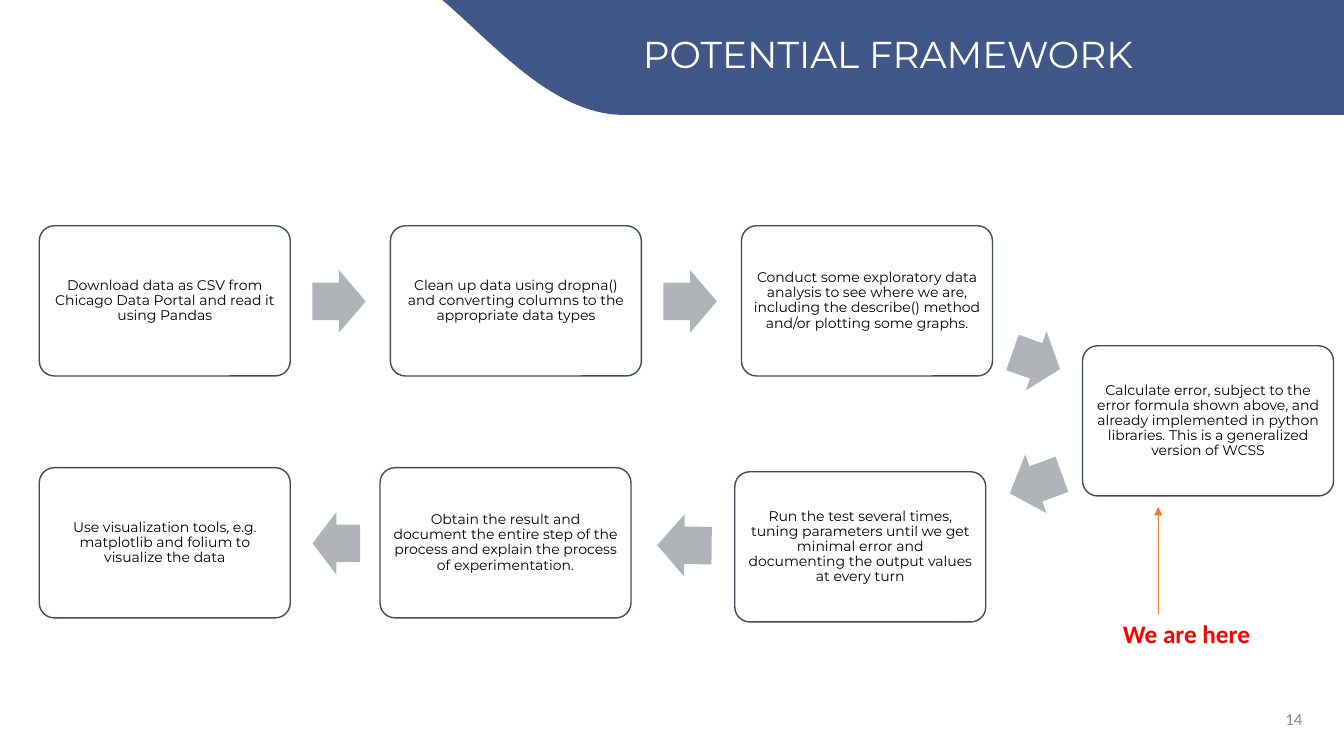
import collections

import lxml.etree
import pptx
import pptx.dml.color
import pptx.enum.shapes
import pptx.enum.text
import pptx.oxml.ns
import pptx.util

Box = collections.namedtuple("Box", "left top width height")

SLIDE_WIDTH, SLIDE_HEIGHT = pptx.util.Inches(13.333), pptx.util.Inches(7.5)
CELL = SLIDE_WIDTH / 40  # square grid: 40 columns by 22.5 rows
COLORS = {
    "banner": "002060", "title": "FFFFFF", "step": "FFFFFF", "outline": "3E4C60",
    "text": "000000", "arrow": "B0B4B9", "marker": "FF0000", "pointer": "ED7D31",
    "number": "8C8C8C",
}
ALIGN = pptx.enum.text.PP_ALIGN
ANCHOR = pptx.enum.text.MSO_ANCHOR
SHAPE = pptx.enum.shapes.MSO_SHAPE

# Regions, in grid cells
BANNER = Box(12.87, -0.24, 27.13, 3.66)
FLOW = Box(1.17, 6.72, 38.52, 11.79)
MARKER = Box(33.12, 15.09, 4.44, 4.38)
NUMBER = Box(36.75, 20.79, 2.4, 1.71)

STEP_WIDTH, STEP_HEIGHT, ARROW_HEIGHT = 7.47, 4.47, 1.86
# Column and row inside the flow region, then wording
STEPS = [
    (0, 0, "Download data as CSV from Chicago Data Portal and read it using Pandas"),
    (10.45, 0, "Clean up data using dropna() and converting columns to the "
               "appropriate data types"),
    (20.9, 0, "Conduct some exploratory data analysis to see where we are, including "
              "the describe() method and/or plotting some graphs."),
    (31.05, 3.57, "Calculate error, subject to the error formula shown above, and already "
                  "implemented in python libraries. This is a generalized version of WCSS"),
    (20.7, 7.32, "Run the test several times, tuning parameters until we get minimal "
                 "error and documenting the output values at every turn"),
    (10.14, 7.2, "Obtain the result and document the entire step of the process and "
                 "explain the process of experimentation."),
    (0, 7.2, "Use visualization tools, e.g. matplotlib and folium to visualize the data"),
]
# Centre column, centre row, length, rotation
ARROWS = [
    (8.92, 2.25, 1.59, 0), (19.37, 2.25, 1.59, 0), (29.67, 4.02, 1.5, 19.3),
    (29.66, 7.68, 1.65, 160), (19.2, 9.51, 1.62, 180.6), (8.84, 9.45, 1.41, 180),
]


def color(key):
    return pptx.dml.color.RGBColor.from_string(COLORS[key])


def cells(*lengths):
    return [round(length * CELL) for length in lengths]


def set_all(target, values):
    for name, value in values.items():
        setattr(target, name, value)


def write(holder, text, size, key, font="Montserrat", bold=False, inset=0.1,
          paragraph_format=None, **frame_format):
    frame = holder.text_frame
    margin = pptx.util.Inches(inset)
    set_all(frame, {"margin_left": margin, "margin_right": margin,
                    "margin_top": margin / 2 if inset == 0.1 else margin,
                    "margin_bottom": margin / 2 if inset == 0.1 else margin,
                    "word_wrap": True, **frame_format} if inset != 0.1 else
            {"word_wrap": True, **frame_format})
    frame.text = text
    paragraph = frame.paragraphs[0]
    set_all(paragraph, paragraph_format or {})
    run_font = paragraph.runs[0].font
    set_all(run_font, {"name": font, "size": pptx.util.Pt(size), "bold": bold})
    run_font.color.rgb = color(key)


def paint(shape, fill, outline=None):
    shape.shadow.inherit = False
    shape.fill.solid()
    shape.fill.fore_color.rgb = color(fill)
    if outline:
        shape.line.color.rgb = color(outline)
        shape.line.width = pptx.util.Pt(1)
    else:
        shape.line.fill.background()


def add_banner(slide, box):
    # Curved left edge, sampled from a cubic curve in shares of the box
    controls = [(0.21, 1), (0.127, 1), (0.058, 0.336), (0, 0)]
    samples = 32
    edge = []
    for i in range(samples + 1):
        t = i / samples
        weights = ((1 - t) ** 3, 3 * t * (1 - t) ** 2, 3 * t * t * (1 - t), t ** 3)
        edge.append([sum(w * c[axis] for w, c in zip(weights, controls))
                     for axis in (0, 1)])
    outline = [cells(box.left + x * box.width, box.top + y * box.height)
               for x, y in [(0, 0), (1, 0), (1, 1)] + edge[:-1]]
    builder = slide.shapes.build_freeform(*outline[0])
    builder.add_line_segments(outline[1:], close=True)
    banner = builder.convert_to_shape()
    paint(banner, "banner")
    fill_color = banner.element.spPr.find(".//" + pptx.oxml.ns.qn("a:srgbClr"))
    lxml.etree.SubElement(fill_color, pptx.oxml.ns.qn("a:alpha"), val="75000")

    # Title sits in front of the banner
    title = slide.shapes.title
    set_all(title, dict(zip(Box._fields, cells(*box))))
    write(title, "POTENTIAL FRAMEWORK", 26.7, "title",
          paragraph_format={"alignment": ALIGN.CENTER}, vertical_anchor=ANCHOR.MIDDLE,
          auto_size=pptx.enum.text.MSO_AUTO_SIZE.NONE)
    banner.element.addnext(title.element)


def add_flow(slide, box):
    for column, row, wording in STEPS:
        step = slide.shapes.add_shape(SHAPE.ROUNDED_RECTANGLE, *cells(
            box.left + column, box.top + row, STEP_WIDTH, STEP_HEIGHT))
        step.adjustments[0] = 0.1
        paint(step, "step", "outline")
        write(step, wording, 10, "text", inset=0.08, vertical_anchor=ANCHOR.MIDDLE,
              paragraph_format={"alignment": ALIGN.CENTER, "line_spacing": 0.9,
                                "space_after": pptx.util.Pt(3.5)})
    for column, row, length, rotation in ARROWS:
        arrow = slide.shapes.add_shape(SHAPE.RIGHT_ARROW, *cells(
            box.left + column - length / 2, box.top + row - ARROW_HEIGHT / 2,
            length, ARROW_HEIGHT))
        arrow.adjustments[0] = 0.6
        arrow.adjustments[1] = 0.5
        arrow.rotation = rotation
        paint(arrow, "arrow")


def add_marker(slide, box):
    label_height = 1.2
    label_top = box.top + box.height - label_height
    label = slide.shapes.add_textbox(*cells(box.left, label_top, box.width, label_height))
    write(label, "We are here", 18, "marker", font="Calibri", bold=True, word_wrap=False)

    # Pointer from the label up to the current step
    x = box.left + 1.35
    pointer = slide.shapes.add_connector(pptx.enum.shapes.MSO_CONNECTOR.STRAIGHT,
                                         *cells(x, label_top, x, box.top))
    pointer.line.color.rgb = color("pointer")
    pointer.line.width = pptx.util.Pt(0.5)
    properties = pointer.element.spPr
    lxml.etree.SubElement(properties.find(pptx.oxml.ns.qn("a:ln")),
                          pptx.oxml.ns.qn("a:tailEnd"), type="triangle")
    lxml.etree.SubElement(properties, pptx.oxml.ns.qn("a:effectLst"))


def add_number(slide, box):
    number = slide.shapes.add_textbox(*cells(*box))
    write(number, "14", 12, "number", font="Calibri", inset=0.13,
          paragraph_format={"alignment": ALIGN.RIGHT})


def main():
    deck = pptx.Presentation()
    set_all(deck, {"slide_width": SLIDE_WIDTH, "slide_height": SLIDE_HEIGHT})
    slide = deck.slides.add_slide(deck.slide_layouts.get_by_name("Title Only"))
    add_number(slide, NUMBER)
    add_flow(slide, FLOW)
    add_banner(slide, BANNER)
    add_marker(slide, MARKER)
    deck.save("out.pptx")


if __name__ == "__main__":
    main()
